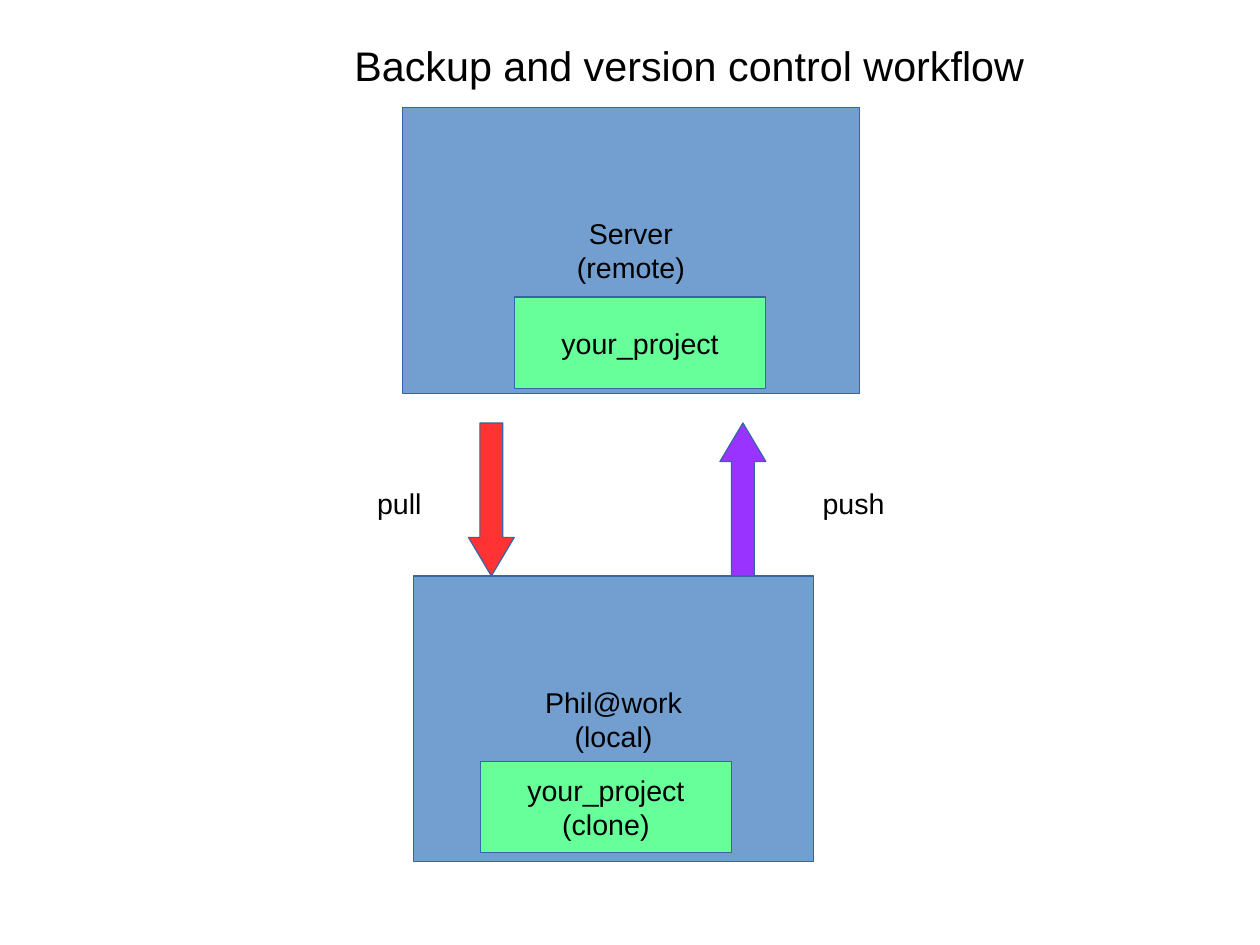
from pptx import Presentation
from pptx import util as u
from pptx.dml import color
from pptx.enum import shapes, text

TITLE = ("Backup and version control workflow", (7.62, 0.76, 15.44, 1.27))
BLUE, GREEN, RED, PURPLE = "729FCF", "66FF99", "FF3333", "9933FF"
OUTLINE, INK = "3465A4", "000000"

BOXES = [
    (["Server", "(remote)"], BLUE, (8.94, 2.39, 10.16, 6.35)),
    (["Phil@work", "(local)"], BLUE, (9.19, 12.8, 8.89, 6.35)),
    (["your_project", "(clone)"], GREEN, (10.67, 16.92, 5.59, 2.03)),
    (["your_project"], GREEN, (11.43, 6.6, 5.59, 2.03)),
]
ARROWS = [
    (shapes.MSO_SHAPE.DOWN_ARROW, RED, 10.41),
    (shapes.MSO_SHAPE.UP_ARROW, PURPLE, 16),
]
LABELS = [("pull", 8.13, 1.5), ("push", 18.03, 1.88)]
ARROW_TOP, ARROW_WIDTH, ARROW_HEIGHT = 9.4, 1.02, 3.4
LABEL_TOP, LABEL_HEIGHT = 10.67, 0.97


def rgb(value):
    return color.RGBColor.from_string(value)


def lengths(place):
    return [u.Cm(value) for value in place]


def write(box, lines, size=18, align=text.PP_ALIGN.CENTER,
          anchor=text.MSO_ANCHOR.MIDDLE):
    frame = box.text_frame
    frame.word_wrap = False
    frame.vertical_anchor = anchor
    for index, line in enumerate(lines):
        para = frame.add_paragraph() if index else frame.paragraphs[0]
        para.alignment = align
        span = para.add_run()
        span.text = line
        span.font.name = "Arial"
        span.font.size = u.Pt(size)
        span.font.color.rgb = rgb(INK)


def write_left(box, line, size=18):
    write(box, [line], size, text.PP_ALIGN.LEFT, text.MSO_ANCHOR.TOP)


def add_filled(page, kind, fill, place):
    shape = page.shapes.add_shape(kind, *lengths(place))
    shape.shadow.inherit = False
    shape.fill.solid()
    shape.fill.fore_color.rgb = rgb(fill)
    shape.line.color.rgb = rgb(OUTLINE)
    shape.line.width = u.Pt(0)
    return shape


deck = Presentation()
deck.slide_width, deck.slide_height = lengths((28, 21))
page = deck.slides.add_slide(deck.slide_layouts.get_by_name("Title Only"))

for lines, fill, place in BOXES:
    write(add_filled(page, shapes.MSO_SHAPE.RECTANGLE, fill, place), lines)

for kind, fill, left in ARROWS:
    arrow = add_filled(page, kind, fill,
                       (left, ARROW_TOP, ARROW_WIDTH, ARROW_HEIGHT))
    arrow.adjustments[0] = 0.5
    arrow.adjustments[1] = 0.84

for label, left, width in LABELS:
    place = (left, LABEL_TOP, width, LABEL_HEIGHT)
    write_left(page.shapes.add_textbox(*lengths(place)), label)

heading, place = TITLE
title = page.shapes.title
title.left, title.top, title.width, title.height = lengths(place)
title.text_frame.auto_size = text.MSO_AUTO_SIZE.NONE
write_left(title, heading, 26)

deck.save("out.pptx")
